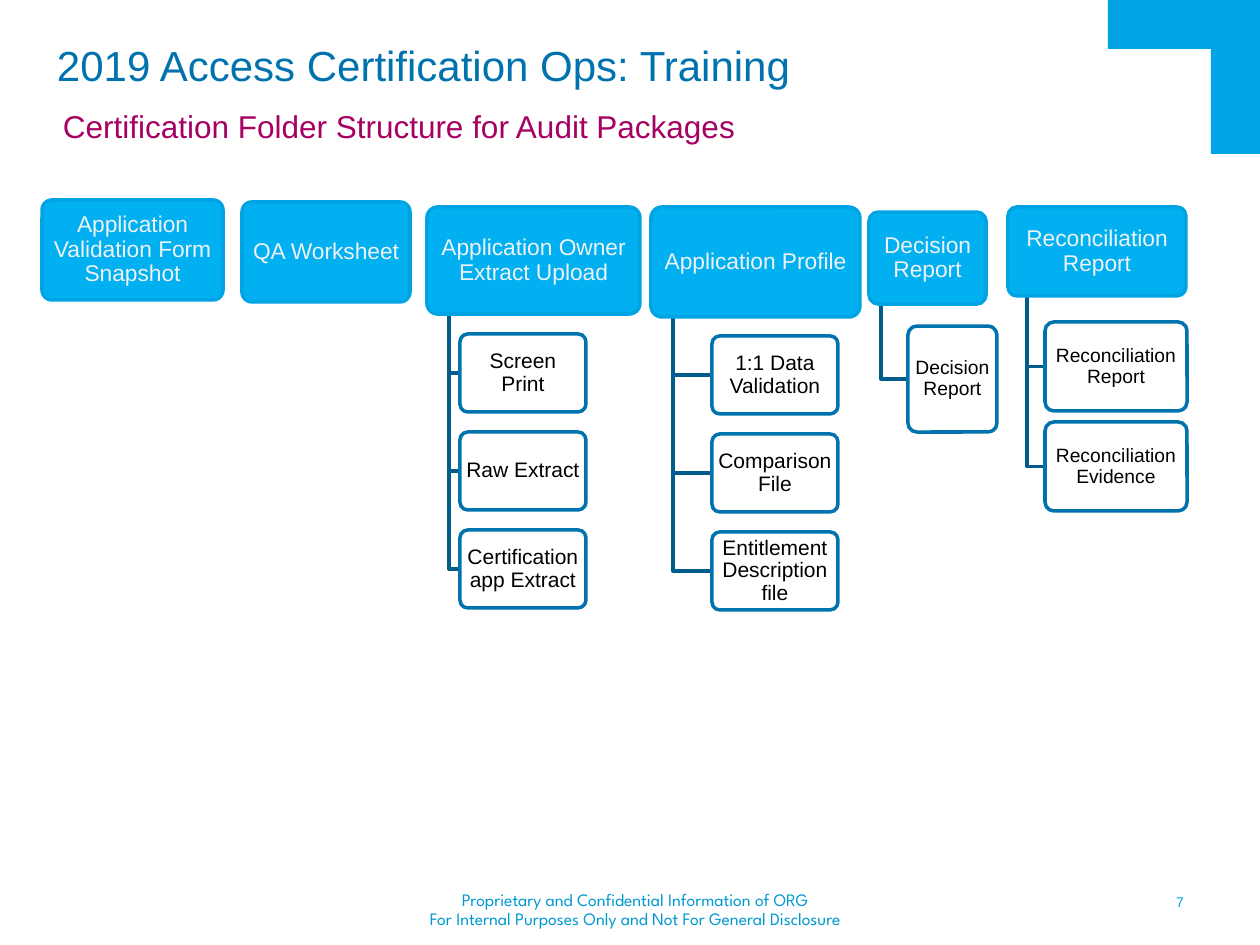
"""Build the slide showing the certification folder structure for audit packages."""
from pptx import Presentation
from pptx.dml.color import RGBColor
from pptx.enum.shapes import MSO_SHAPE
from pptx.enum.text import MSO_ANCHOR, PP_ALIGN
from pptx.util import Pt

PX = 914400 / 126
COLORS = {
    "corner": "00A4E4", "folder": "00B0F0", "folder_line": "00A4E4", "folder_text": "EEF2F6",
    "file_line": "0073AE", "file_text": "000000", "branch": "005C8B",
    "title": "0073AE", "subtitle": "A70063", "footer": "0099D1",
}


def px(*lengths):
    return [round(length * PX) for length in lengths]


def write(shape, text, size, color, font="Arial", align=PP_ALIGN.LEFT,
          anchor=MSO_ANCHOR.TOP, insets=(13, 6), spacing=1.0):
    frame = shape.text_frame
    frame.word_wrap = True
    frame.vertical_anchor = anchor
    frame.margin_left, frame.margin_top = px(*insets)
    frame.margin_right, frame.margin_bottom = px(*insets)
    frame.text = text
    for paragraph in frame.paragraphs:
        paragraph.alignment = align
        paragraph.line_spacing = spacing
        paragraph.font.name = font
        paragraph.font.size = Pt(size)
        paragraph.font.bold = False
        paragraph.font.color.rgb = RGBColor.from_string(COLORS[color])


presentation = Presentation()
presentation.slide_width, presentation.slide_height = px(1260, 945)
slide = presentation.slides.add_slide(presentation.slide_layouts[5])
shapes = slide.shapes

title = shapes.title
title.left, title.top, title.width, title.height = px(44, 33, 1124, 63)
write(title, "2019 Access Certification Ops: Training", 24, "title")

subtitle = shapes.add_textbox(*px(50, 101, 1011, 50))
write(subtitle, "Certification Folder Structure for Audit Packages", 18, "subtitle")

for box in ((1108, 0, 152, 49), (1211, 0, 49, 154)):
    corner = shapes.add_shape(MSO_SHAPE.RECTANGLE, *px(*box))
    corner.shadow.inherit = False
    corner.fill.solid()
    corner.fill.fore_color.rgb = RGBColor.from_string(COLORS["corner"])
    corner.line.fill.background()

folders = [
    {"name": "Application Validation Form Snapshot", "box": (42, 200, 181, 100)},
    {"name": "QA Worksheet", "box": (242, 202, 168, 100)},
    {"name": "Application Owner Extract Upload", "box": (427, 207, 213, 107),
     "files": ["Screen Print", "Raw Extract", "Certification app Extract"],
     "first": (460, 334, 126, 78), "pitch": 98, "branch": 449, "size": 12},
    {"name": "Application Profile", "box": (651, 207, 209, 110),
     "files": ["1:1 Data Validation", "Comparison File", "Entitlement Description file"],
     "first": (712, 336, 126, 78), "pitch": 98, "branch": 673, "size": 12},
    {"name": "Decision Report", "box": (869, 212, 117, 92),
     "files": ["Decision Report"],
     "first": (908, 326, 89, 106), "pitch": 0, "branch": 881, "size": 11},
    {"name": "Reconciliation Report", "box": (1008, 207, 178, 89),
     "files": ["Reconciliation Report", "Reconciliation Evidence"],
     "first": (1045, 322, 142, 89), "pitch": 100, "branch": 1027, "size": 11},
]

for folder in folders:
    cards = [(folder["name"], folder["box"], 13, "folder")]
    for index, name in enumerate(folder.get("files", [])):
        left, top, width, height = folder["first"]
        top += index * folder["pitch"]
        cards.append((name, (left, top, width, height), folder["size"], "file"))

        start = px(folder["branch"], folder["box"][1] + folder["box"][3])
        middle = top + height / 2
        builder = shapes.build_freeform(*start)
        builder.add_line_segments(
            [px(folder["branch"], middle), px(left, middle)], close=False)
        branch = builder.convert_to_shape()
        branch.shadow.inherit = False
        branch.fill.background()
        branch.line.color.rgb = RGBColor.from_string(COLORS["branch"])
        branch.line.width = Pt(2)

    for name, box, size, kind in cards:
        card = shapes.add_shape(MSO_SHAPE.ROUNDED_RECTANGLE, *px(*box))
        card.adjustments[0] = 0.1
        card.shadow.inherit = False
        if kind == "folder":
            card.fill.solid()
            card.fill.fore_color.rgb = RGBColor.from_string(COLORS["folder"])
        else:
            card.fill.background()
        card.line.color.rgb = RGBColor.from_string(COLORS[f"{kind}_line"])
        card.line.width = Pt(2)
        write(card, name, size, f"{kind}_text", align=PP_ALIGN.CENTER,
              anchor=MSO_ANCHOR.MIDDLE, insets=(3, 3), spacing=0.9)

footer = shapes.add_textbox(*px(341, 885, 588, 50))
write(footer, "Proprietary and Confidential Information of ORG\n"
      "For Internal Purposes Only and Not For General Disclosure",
      10, "footer", font="League Spartan", align=PP_ALIGN.CENTER, spacing=0.9)

page_number = shapes.add_textbox(*px(1145, 893, 39, 18))
write(page_number, "7", 8, "corner", align=PP_ALIGN.RIGHT,
      anchor=MSO_ANCHOR.MIDDLE, insets=(0, 0))

presentation.save("out.pptx")
